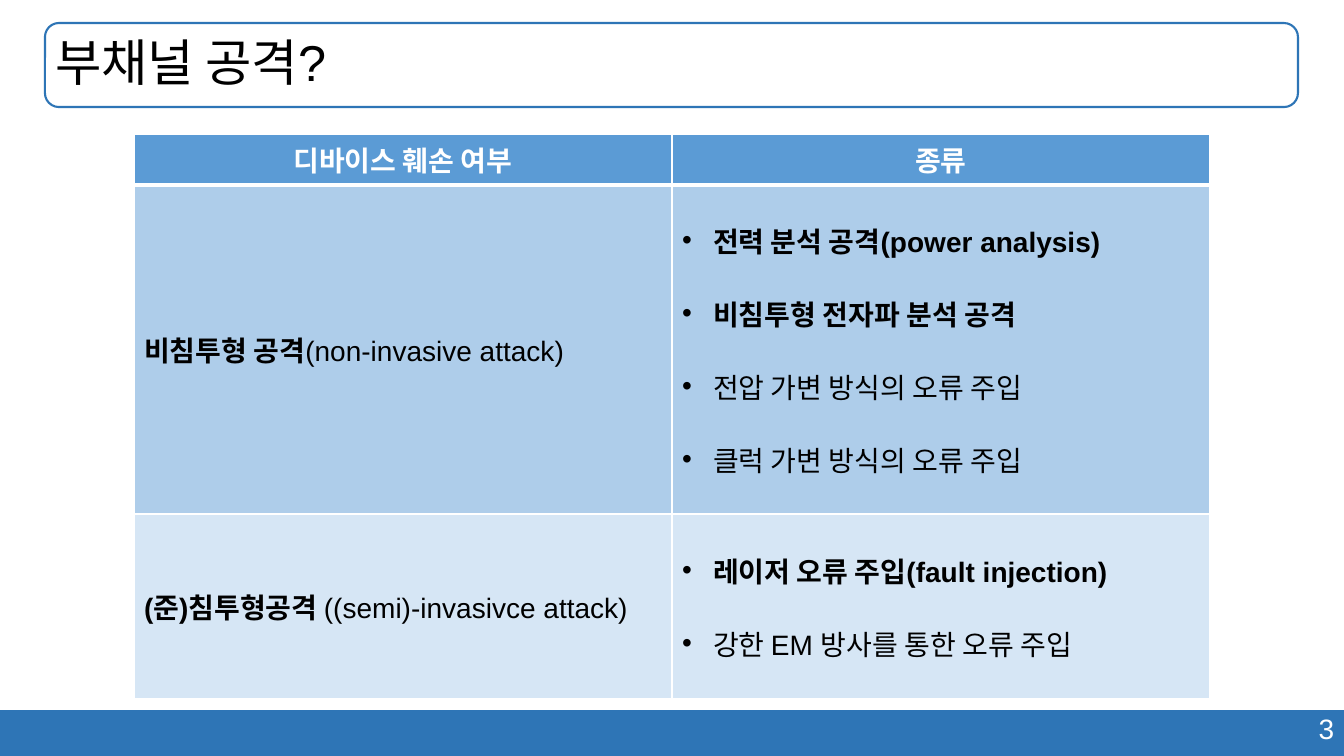
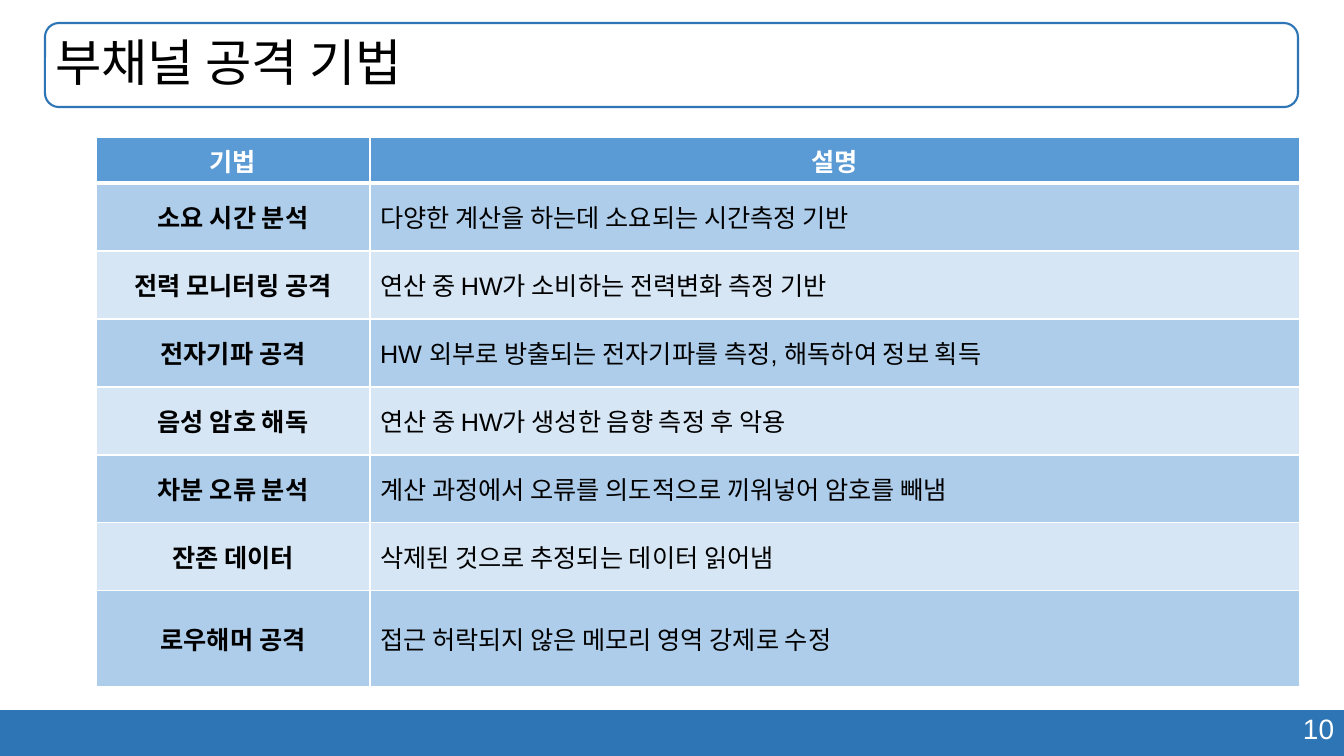
from pptx import Presentation
from pptx.dml.color import RGBColor
from pptx.enum.shapes import MSO_SHAPE
from pptx.enum.text import MSO_ANCHOR, PP_ALIGN
from pptx.oxml.ns import qn
from pptx.util import Pt
from lxml import etree

RECT, ROUND = MSO_SHAPE.RECTANGLE, MSO_SHAPE.ROUNDED_RECTANGLE
TOP, MID = MSO_ANCHOR.TOP, MSO_ANCHOR.MIDDLE
LEFT, MIDDLE, RIGHT = PP_ALIGN.LEFT, PP_ALIGN.CENTER, PP_ALIGN.RIGHT

WHITE = RGBColor(0xFF, 0xFF, 0xFF)
BLACK = RGBColor(0, 0, 0)
NAVY = RGBColor(0x2E, 0x75, 0xB6)
HEAD = RGBColor(0x5B, 0x9B, 0xD5)
BANDS = RGBColor(0xAE, 0xCD, 0xEA), RGBColor(0xD6, 0xE6, 0xF5)
FONT = "Arial"
WIDE, HIGH = 1344, 756
SCALE = 914400 / 100.8

KINDS = [
    ("디바이스 훼손 여부", "종류"),
    ([("비침투형 공격", True), ("(non-invasive attack)", False)],
     [("전력 분석 공격(power analysis)", True),
      ("비침투형 전자파 분석 공격", True),
      ("전압 가변 방식의 오류 주입", False),
      ("클럭 가변 방식의 오류 주입", False)]),
    ([("(준)침투형공격", True), (" ((semi)-invasivce attack)", False)],
     [("레이저 오류 주입(fault injection)", True),
      ("강한 EM 방사를 통한 오류 주입", False)]),
]
METHODS = [
    ("기법", "설명"),
    ("소요 시간 분석", "다양한 계산을 하는데 소요되는 시간측정 기반"),
    ("전력 모니터링 공격", "연산 중 HW가 소비하는 전력변화 측정 기반"),
    ("전자기파 공격", "HW 외부로 방출되는 전자기파를 측정, 해독하여 정보 획득"),
    ("음성 암호 해독", "연산 중 HW가 생성한 음향 측정 후 악용"),
    ("차분 오류 분석", "계산 과정에서 오류를 의도적으로 끼워넣어 암호를 빼냄"),
    ("잔존 데이터", "삭제된 것으로 추정되는 데이터 읽어냄"),
    ("로우해머 공격", "접근 허락되지 않은 메모리 영역 강제로 수정"),
]


def px(size):
    return round(size * SCALE)


def box(*spot):
    return [px(side) for side in spot]


def write(para, runs, size, color, align=LEFT):
    para.alignment = align
    for text, bold in runs:
        run = para.add_run()
        run.text = text
        font = run.font
        font.name, font.size, font.bold = FONT, Pt(size), bold
        font.color.rgb = color


def panel(slide, form, spot, fill=None, line=None):
    shape = slide.shapes.add_shape(form, *box(*spot))
    shape.shadow.inherit = False
    if fill is None:
        shape.fill.background()
    else:
        shape.fill.solid()
        shape.fill.fore_color.rgb = fill
    if line is None:
        shape.line.fill.background()
    else:
        shape.line.color.rgb = line
        shape.line.width = Pt(1.5)
    return shape


def frame(deck, title, number):
    slide = deck.slides.add_slide(deck.slide_layouts[6])
    panel(slide, RECT, (0, 710, WIDE, 46), fill=NAVY)
    note = slide.shapes.add_textbox(*box(951, 707, 393, 44)).text_frame
    note.word_wrap = True
    note.vertical_anchor = TOP
    write(note.paragraphs[0], [(str(number), False)], 20, WHITE, RIGHT)
    text = panel(slide, ROUND, (45, 23, 1253, 84), line=NAVY).text_frame
    text.word_wrap = True
    text.vertical_anchor = MID
    text.margin_left = px(6)
    write(text.paragraphs[0], [(title, False)], 36, BLACK)
    text.paragraphs[0].line_spacing = 0.9
    return slide


def border(cell, head):
    props = cell._tc.get_or_add_tcPr()
    for side in "LRTB":
        width = 3 if head and side == "B" else 1
        line = etree.SubElement(props, qn(f"a:ln{side}"), w=str(Pt(width)))
        fill = etree.SubElement(line, qn("a:solidFill"))
        etree.SubElement(fill, qn("a:srgbClr"), val=str(WHITE))


def bullets(text, items, size):
    for i, item in enumerate(items):
        para = text.add_paragraph() if i else text.paragraphs[0]
        props = para._p.get_or_add_pPr()
        props.set("marL", str(px(31)))
        props.set("indent", str(-px(31)))
        if i:
            para.space_before = Pt(23)
        etree.SubElement(props, qn("a:buFont"), typeface=FONT)
        etree.SubElement(props, qn("a:buChar"), char="•")
        write(para, [item], size, BLACK)


def grid(slide, data, left, top, cols, rows, size):
    spot = box(left, top, sum(cols), sum(rows))
    table = slide.shapes.add_table(len(rows), len(cols), *spot).table
    for col, width in zip(table.columns, cols):
        col.width = px(width)
    for r, (row, high) in enumerate(zip(data, rows)):
        table.rows[r].height = px(high)
        for c, value in enumerate(row):
            cell = table.cell(r, c)
            head = r == 0
            border(cell, head)
            cell.fill.solid()
            cell.fill.fore_color.rgb = HEAD if head else BANDS[(r - 1) % 2]
            cell.vertical_anchor = MID
            text = cell.text_frame
            plain = isinstance(value, str)
            if c and not plain:
                bullets(text, value, size)
                continue
            runs = [(value, head or c == 0)] if plain else value
            align = MIDDLE if plain and (head or c == 0) else LEFT
            write(text.paragraphs[0], runs, size, WHITE if head else BLACK, align)


def main():
    deck = Presentation()
    deck.slide_width, deck.slide_height = px(WIDE), px(HIGH)
    slide = frame(deck, "부채널 공격?", 3)
    grid(slide, KINDS, 134, 134, [538] * 2, [51, 329, 185], 20)
    slide = frame(deck, "부채널 공격 기법", 10)
    grid(slide, METHODS, 96, 137, [274, 930], [46] + [68] * 6 + [96], 18)
    deck.save("out.pptx")


if __name__ == "__main__":
    main()
